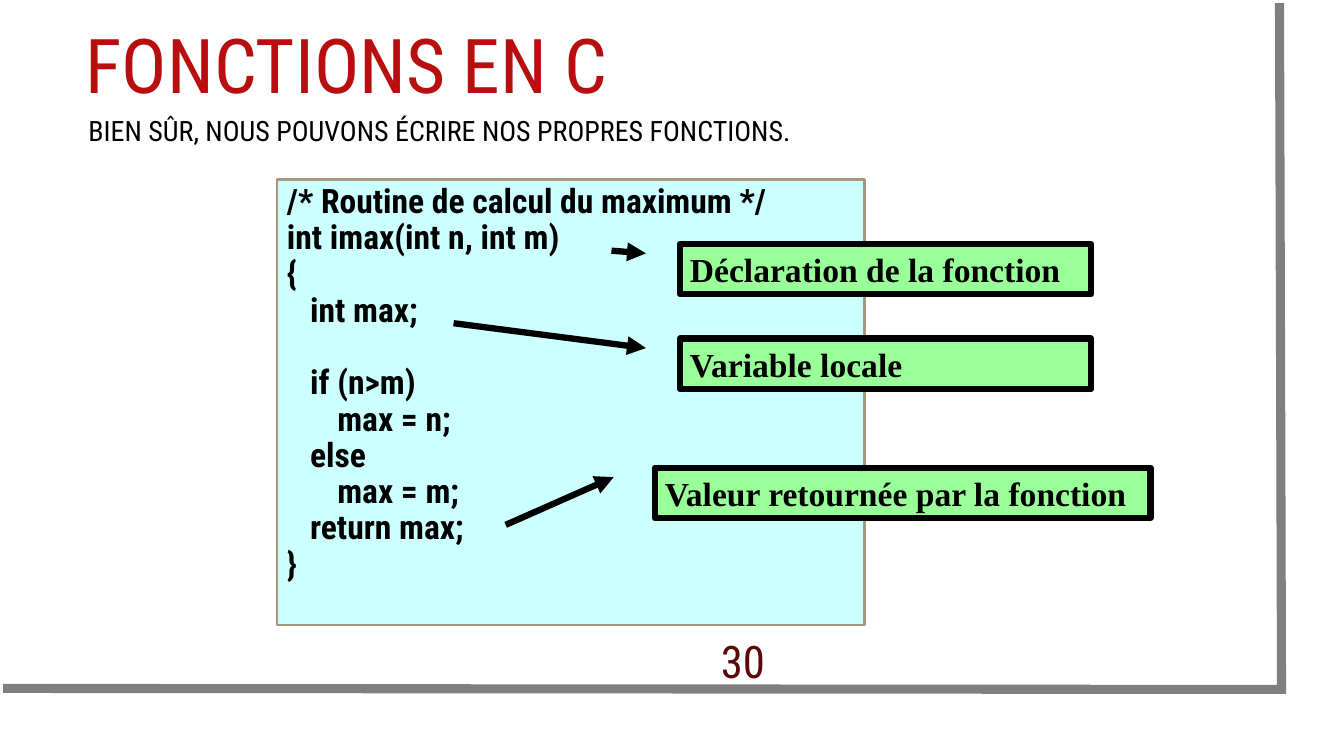
from lxml.etree import SubElement
from pptx import Presentation
from pptx.dml.color import RGBColor
from pptx.enum.shapes import MSO_SHAPE as Preset
from pptx.enum.text import MSO_ANCHOR as Anchor, MSO_AUTO_SIZE as AutoSize, PP_ALIGN as Align
from pptx.oxml.ns import qn
from pptx.util import Pt

PX = 9144
SANS, SERIF = "Roboto Condensed", "Times New Roman"
COLORS = {
    "red": "B80E0F", "maroon": "5C0708", "black": "000000", "gray": "7F7F7F",
    "cyan": "CCFFFF", "tan": "A6987D", "green": "99FF99",
}

TITLE = "FONCTIONS EN C"
INTRO = "BIEN SÛR, NOUS POUVONS ÉCRIRE NOS PROPRES FONCTIONS."
PAGE = "30"
CODE = [
    "/* Routine de calcul du maximum */",
    "int imax(int n, int m)",
    "{",
    "   int max;",
    " ",
    "   if (n>m)",
    "\tmax = n;",
    "   else",
    "\tmax = m;",
    "   return max;",
    "}",
]
CALLOUTS = [
    ("Déclaration de la fonction", (675, 242, 408, 50), (0.135, -0.167)),
    ("Variable locale", (675, 336, 408, 50), (-0.307, -0.551)),
    ("Valeur retournée par la fonction", (650, 464, 492, 50), (1.135, -0.301)),
]
ARROW_TIP = (0.188, -0.083)
FRAME = [(1270, 3), (1272, 684), (3, 683)]
TAB = 50
BULLET_INDENT = 25


def emu(lengths):
    return [length * PX for length in lengths]


def color(name):
    return RGBColor.from_string(COLORS[name])


def outline(shape, name, width):
    shape.shadow.inherit = False
    shape.line.color.rgb = color(name)
    shape.line.width = Pt(width)


def paint(shape, fill, line, width):
    shape.fill.solid()
    shape.fill.fore_color.rgb = color(fill)
    outline(shape, line, width)


def write(shape, lines, size, ink, font=SANS, bold=False, anchor=Anchor.MIDDLE,
          align=Align.LEFT, spacing=1.0):
    frame = shape.text_frame
    frame.word_wrap = True
    frame.auto_size = AutoSize.NONE
    frame.vertical_anchor = anchor
    frame.text = "\n".join(lines)
    for paragraph in frame.paragraphs:
        paragraph.alignment = align
        paragraph.line_spacing = spacing
        if "\t" in paragraph.text:
            tabs = SubElement(paragraph._p.get_or_add_pPr(), qn("a:tabLst"))
            SubElement(tabs, qn("a:tab"), pos=str(TAB * PX), algn="l")
        paragraph.font.name = font
        paragraph.font.size = Pt(size)
        paragraph.font.bold = bold
        paragraph.font.color.rgb = color(ink)


def add_bullet(paragraph):
    props = paragraph._p.get_or_add_pPr()
    props.set("marL", str(BULLET_INDENT * PX))
    props.set("indent", str(-BULLET_INDENT * PX))
    tint = SubElement(props, qn("a:buClr"))
    SubElement(tint, qn("a:srgbClr"), val=COLORS["red"])
    SubElement(props, qn("a:buSzPct"), val="160000")
    SubElement(props, qn("a:buFont"), typeface="Arial")
    SubElement(props, qn("a:buChar"), char="•")


def main():
    deck = Presentation()
    deck.slide_width, deck.slide_height = emu((1334, 750))
    slide = deck.slides.add_slide(deck.slide_layouts[5])
    shapes = slide.shapes

    builder = shapes.build_freeform(*FRAME[0], scale=PX)
    builder.add_line_segments(FRAME[1:], close=False)
    border = builder.convert_to_shape()
    border.fill.background()
    outline(border, "gray", 6.5)
    SubElement(border.line._get_or_add_ln(), qn("a:miter"), lim="800000")

    title = shapes.title
    title.left, title.top, title.width, title.height = emu((75, 5, 1137, 126))
    write(title, [TITLE], 54, "red", spacing=0.9)

    intro = shapes.add_textbox(*emu((78, 99, 963, 53)))
    add_bullet(intro.text_frame.paragraphs[0])
    write(intro, [INTRO], 20, "black", spacing=1.2)

    page = shapes.add_textbox(*emu((688, 628, 99, 55)))
    write(page, [PAGE], 32, "maroon", align=Align.CENTER)

    code = shapes.add_shape(Preset.RECTANGLE, *emu((275, 178, 583, 442)))
    paint(code, "cyan", "tan", 2)
    write(code, CODE, 24, "black", bold=True, anchor=Anchor.TOP, spacing=0.9)

    for label, box, arrow_start in CALLOUTS:
        callout = shapes.add_shape(Preset.LINE_CALLOUT_1, *emu(box))
        for index, value in enumerate(ARROW_TIP + arrow_start):
            callout.adjustments[index] = value
        paint(callout, "green", "black", 4.5)
        SubElement(callout.line._get_or_add_ln(), qn("a:headEnd"), type="triangle")
        write(callout, [label], 24, "black", font=SERIF, bold=True, anchor=Anchor.TOP)

    deck.save("out.pptx")


if __name__ == "__main__":
    main()
